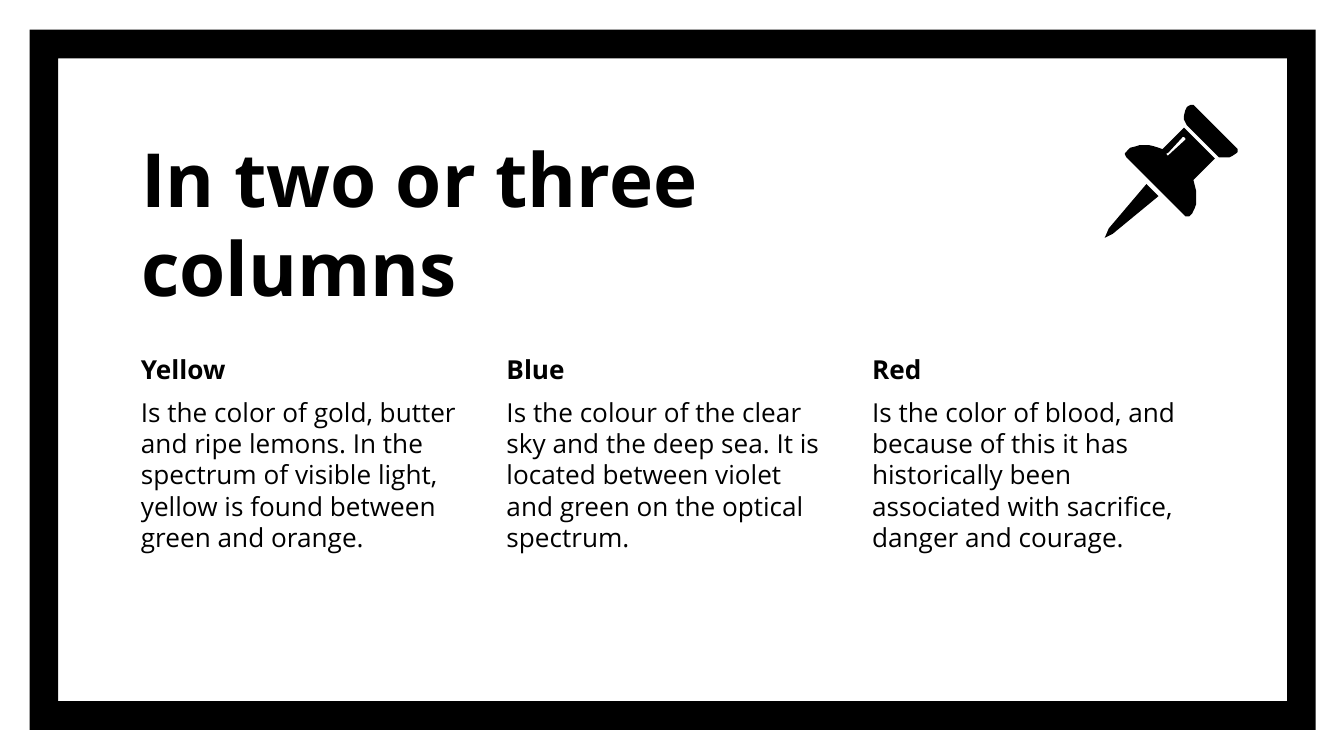
"""Build a titled slide with three text columns, a frame and a push pin."""
from pptx import Presentation
from pptx import util as u
from pptx.dml.color import RGBColor
from pptx.enum import shapes, text

INK = "000000"


def paint(fill, hue):
    fill.solid()
    fill.fore_color.rgb = RGBColor.from_string(hue)


def write(frame, lines, size, **form):
    margins = {f"margin_{side}": u.Inches(0.1)
               for side in ("left", "top", "right", "bottom")}
    form = {"word_wrap": True, "auto_size": text.MSO_AUTO_SIZE.NONE, **margins, **form}
    for key, value in form.items():
        setattr(frame, key, value)
    for i, (words, bold) in enumerate(lines):
        para = frame.paragraphs[0] if i == 0 else frame.add_paragraph()
        para.alignment = text.PP_ALIGN.LEFT
        para.space_before = u.Pt(6 if len(lines) > 1 else 0)
        run = para.add_run()
        run.text = words
        for key, value in {"name": "Open Sans", "size": u.Pt(size), "bold": bold}.items():
            setattr(run.font, key, value)
        paint(run.font.fill, INK)


deck = Presentation()
deck.slide_width = u.Inches(10)
deck.slide_height = deck.slide_width * 9 // 16
slide = deck.slides.add_slide(deck.slide_layouts[5])
paint(slide.background.fill, "FFFFFF")

border = slide.shapes.add_shape(shapes.MSO_SHAPE.FRAME, u.Inches(0.22), u.Inches(0.22),
                                u.Inches(9.57), u.Inches(5.21))
border.adjustments[0] = 0.041

title = slide.shapes.title
place = {"left": 0.95, "top": 0.93, "width": 5.57, "height": 1.49}
for key, value in place.items():
    setattr(title, key, u.Inches(value))
write(title.text_frame, [("In two or three columns", True)], 40,
      vertical_anchor=text.MSO_ANCHOR.BOTTOM)

columns = [
    ("Yellow", "Is the color of gold, butter and ripe lemons. In the spectrum of "
               "visible light, yellow is found between green and orange."),
    ("Blue", "Is the colour of the clear sky and the deep sea. It is located between "
             "violet and green on the optical spectrum."),
    ("Red", "Is the color of blood, and because of this it has historically been "
            "associated with sacrifice, danger and courage."),
]
for i, (head, body) in enumerate(columns):
    box = slide.shapes.add_textbox(u.Inches(0.95 + 2.72 * i), u.Inches(2.53),
                                   u.Inches(2.59), u.Inches(2.23))
    write(box.text_frame, [(head, True), (body, False)], 14)

needle = [(853, 137), (825, 170), (822, 177), (828, 174), (862, 146)]
cap = [(886, 78), (884, 79), (883, 80), (882, 82), (881, 86), (881, 89), (882, 91),
       (883, 93), (906, 116), (907, 117), (909, 117), (915, 117), (917, 116), (920, 114),
       (921, 113), (921, 111), (920, 110), (889, 79), (888, 78)]
shine = [(881, 102), (882, 103), (882, 104), (870, 115), (869, 116), (868, 115),
         (868, 114), (869, 114), (880, 102)]
grip = [(881, 95), (865, 111), (862, 110), (859, 109), (855, 108), (848, 108), (845, 109),
        (841, 110), (838, 113), (837, 114), (837, 115), (838, 117), (881, 160), (882, 161),
        (885, 161), (887, 159), (889, 155), (890, 152), (890, 142), (889, 138), (888, 134),
        (904, 118)]
parts = []
for rings in ([needle], [cap], [shine, grip]):
    pen = slide.shapes.build_freeform(*rings[0][0], scale=u.Inches(0.01))
    for i, ring in enumerate(rings):
        if i:
            pen.move_to(*ring[0])
        pen.add_line_segments(ring[1:], close=True)
    parts.append(pen.convert_to_shape())

for shape in [border, *parts]:
    shape.shadow.inherit = False
    paint(shape.fill, INK)
    shape.line.fill.background()
slide.shapes.add_group_shape(parts)

deck.save("out.pptx")
